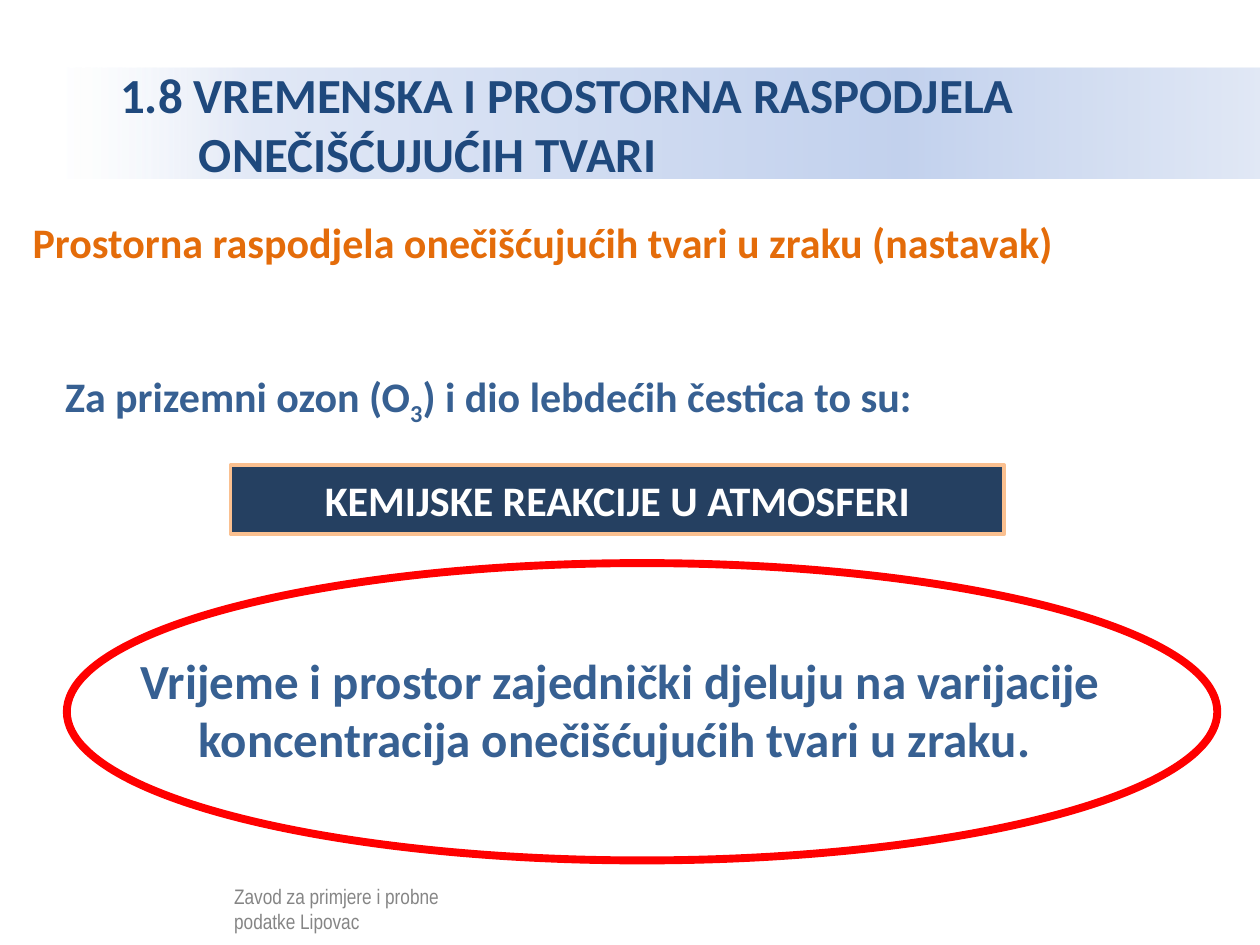
"""Build the slide on the time and space spread of air pollutants."""
from lxml import etree
from pptx import Presentation
from pptx.dml.color import RGBColor
from pptx.enum.shapes import MSO_SHAPE
from pptx.enum.text import MSO_ANCHOR, MSO_AUTO_SIZE, PP_ALIGN
from pptx.oxml.ns import qn
from pptx.util import Pt

RECT, OVAL = MSO_SHAPE.RECTANGLE, MSO_SHAPE.OVAL
MID, TOP = MSO_ANCHOR.MIDDLE, MSO_ANCHOR.TOP
LEFT, MIDDLE = PP_ALIGN.LEFT, PP_ALIGN.CENTER
FIXED = MSO_AUTO_SIZE.NONE

HUES = {
    "white": "FFFFFF", "black": "000000", "title": "1F497D",
    "orange": "E46C0A", "blue": "376092", "navy": "254061",
    "peach": "FAC090", "red": "FF0000",
    "pale": "E1E8F6", "mist": "C2D1ED", "edge": "E1E8F5",
}
STOPS = [(0, "white", 52), (16, "pale", 100), (70, "mist", 100), (100, "edge", 100)]
HEAD = {
    "box": (36, 38.9, 684, 63.4), "runs": ["1.8 VREMENSKA I PROSTORNA RASPODJELA ONEČIŠĆUJUĆIH TVARI"],
    "size": 28, "hue": "title", "anchor": MID,
}
ITEMS = [
    {"box": (126.7, 501.1, 150.5, 18), "runs": ["Zavod za primjere i probne podatke Lipovac"],
     "size": 12, "hue": "black", "face": "Arial Narrow", "bold": False},
    {"box": (29.5, 499, 275, 34.6), "kind": RECT, "fill": "white", "alpha": 52},
    {"box": (11.5, 120.2, 694.8, 36), "hue": "orange",
     "runs": ["Prostorna raspodjela onečišćujućih tvari u zraku (nastavak)"]},
    {"box": (30.2, 208.1, 657.4, 36), "hue": "blue", "sub": 1,
     "runs": ["Za prizemni ozon (O", "3", ") i dio lebdećih čestica to su:"]},
    {"box": (131.8, 265.7, 442.1, 39.6), "kind": RECT, "fill": "navy",
     "line": ("peach", 2), "runs": ["KEMIJSKE REAKCIJE U ATMOSFERI"],
     "hue": "white", "align": MIDDLE, "anchor": MID},
    {"box": (36.7, 367.9, 635, 74.9), "size": 28, "hue": "blue", "align": MIDDLE,
     "runs": ["Vrijeme i prostor zajednički djeluju na varijacije "
              "koncentracija onečišćujućih tvari u zraku. "]},
    {"box": (38.2, 321.8, 657.4, 169.9), "kind": OVAL, "line": ("red", 4.5)},
]


def tint(name):
    return RGBColor.from_string(HUES[name])


def apply(thing, vals):
    for key, val in vals.items():
        setattr(thing, key, val)


def write(shape, item):
    frame = shape.text_frame
    apply(frame, {"word_wrap": True, "auto_size": FIXED,
                  "vertical_anchor": item.get("anchor", TOP)})
    para = frame.paragraphs[0]
    para.alignment = item.get("align", LEFT)
    for spot, text in enumerate(item["runs"]):
        run = para.add_run()
        run.text = text
        apply(run.font, {"name": item.get("face", "Calibri"),
                         "size": Pt(item.get("size", 24)),
                         "bold": item.get("bold", True)})
        run.font.color.rgb = tint(item["hue"])
        if spot == item.get("sub"):
            run.font._element.set("baseline", "-25000")
    return para


def fade(node, share):
    etree.SubElement(node, qn("a:alpha")).set("val", str(share * 1000))


def blend(shape):
    shape.fill.gradient()
    shape.fill.gradient_angle = 0
    stops = shape._element.spPr.find(".//" + qn("a:gsLst"))
    for old in list(stops):
        stops.remove(old)
    for place, name, share in STOPS:
        stop = etree.SubElement(stops, qn("a:gs"))
        stop.set("pos", str(place * 1000))
        node = etree.SubElement(stop, qn("a:srgbClr"))
        node.set("val", HUES[name])
        fade(node, share)


def draw(shapes, item):
    box = [Pt(side) for side in item["box"]]
    if "kind" in item:
        shape = shapes.add_shape(item["kind"], *box)
        shape.shadow.inherit = False
        if "fill" in item:
            shape.fill.solid()
            shape.fill.fore_color.rgb = tint(item["fill"])
        else:
            shape.fill.background()
        if "alpha" in item:
            fade(shape._element.spPr.find(".//" + qn("a:srgbClr")), item["alpha"])
        if "line" in item:
            name, width = item["line"]
            shape.line.color.rgb = tint(name)
            shape.line.width = Pt(width)
        else:
            shape.line.fill.background()
    else:
        shape = shapes.add_textbox(*box)
    if "runs" in item:
        write(shape, item)


def main():
    deck = Presentation()
    apply(deck, {"slide_width": Pt(720), "slide_height": Pt(540)})
    shapes = deck.slides.add_slide(deck.slide_layouts[5]).shapes
    title = shapes.title
    apply(title, dict(zip(("left", "top", "width", "height"), map(Pt, HEAD["box"]))))
    blend(title)
    props = write(title, HEAD)._p.get_or_add_pPr()
    props.set("marL", str(Pt(70.5)))
    props.set("indent", str(Pt(-45)))
    for item in ITEMS:
        draw(shapes, item)
    deck.save("out.pptx")


if __name__ == "__main__":
    main()
